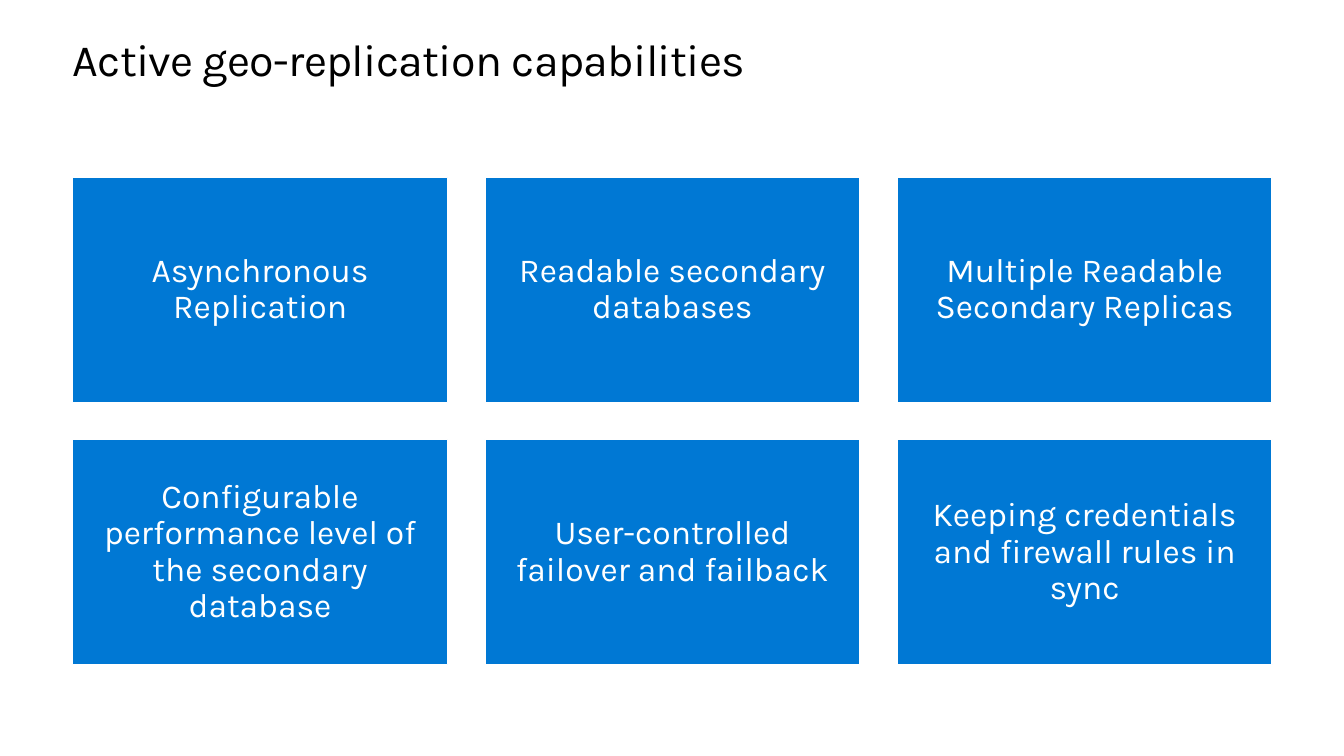
from dataclasses import dataclass

from pptx import Presentation
from pptx.dml.color import RGBColor
from pptx.enum.shapes import MSO_SHAPE
from pptx.enum.text import MSO_ANCHOR, PP_ALIGN
from pptx.util import Cm, Pt

RECT = MSO_SHAPE.RECTANGLE
MIDDLE = MSO_ANCHOR.MIDDLE
TOP = MSO_ANCHOR.TOP
CENTER = PP_ALIGN.CENTER
LEFT = PP_ALIGN.LEFT


@dataclass(frozen=True)
class Theme:
    font: str = "Karla"
    ink: RGBColor = RGBColor(0, 0, 0)
    paper: RGBColor = RGBColor(255, 255, 255)
    blue: RGBColor = RGBColor(0, 0x78, 0xD4)
    head: Pt = Pt(32)
    body: Pt = Pt(24)
    lead: Pt = Pt(36.2)
    edge: Pt = Pt(1)


THEME = Theme()
TITLE = "Active geo-replication capabilities"
CARDS = [
    "Asynchronous Replication",
    "Readable secondary databases",
    "Multiple Readable Secondary Replicas",
    "Configurable performance level of the secondary database",
    "User-controlled failover and failback",
    "Keeping credentials and firewall rules in sync",
]


def write(shape, text, size, color, align, anchor, inset, lead):
    """Fill a shape with one styled paragraph and return its run."""
    frame = shape.text_frame
    frame.text = text
    frame.word_wrap = True
    frame.vertical_anchor = anchor
    frame.margin_left = frame.margin_right = inset
    frame.margin_top = frame.margin_bottom = inset
    para = frame.paragraphs[0]
    para.alignment = align
    para.line_spacing = lead
    run = para.runs[0]
    run.font.name = THEME.font
    run.font.size = size
    run.font.color.rgb = color
    return run


def add_title(slide, left, top, width, height):
    box = slide.shapes.add_textbox(left, top, width, height)
    run = write(box, TITLE, THEME.head, THEME.ink, LEFT, TOP, 0, THEME.lead)
    # Slightly tightened letter spacing, in hundredths of a point
    run._r.get_or_add_rPr().set("spc", "-50")


def add_card(slide, text, left, top, width, height):
    card = slide.shapes.add_shape(RECT, left, top, width, height)
    card.shadow.inherit = False
    card.fill.solid()
    card.fill.fore_color.rgb = THEME.blue
    card.line.color.rgb = THEME.paper
    card.line.width = THEME.edge
    write(card, text, THEME.body, THEME.paper, CENTER, MIDDLE, Cm(0.25), 0.9)


def add_grid(slide, left, top, width, height, cols=3, gap=Cm(0.94)):
    rows = len(CARDS) // cols
    wide = (width - gap * (cols - 1)) // cols
    high = (height - gap * (rows - 1)) // rows
    for i, text in enumerate(CARDS):
        row, col = divmod(i, cols)
        x = left + col * (wide + gap)
        y = top + row * (high + gap)
        add_card(slide, text, x, y, wide, high)


def main():
    deck = Presentation()
    deck.slide_width, deck.slide_height = Cm(33.87), Cm(19.05)
    slide = deck.slides.add_slide(deck.slide_layouts[6])
    # Heading and card grid share the same side margins
    left, width = Cm(1.83), Cm(30.23)
    add_title(slide, left, Cm(0.89), width, Cm(1.27))
    add_grid(slide, left, Cm(4.47), width, Cm(12.28))
    deck.save("out.pptx")


if __name__ == "__main__":
    main()
